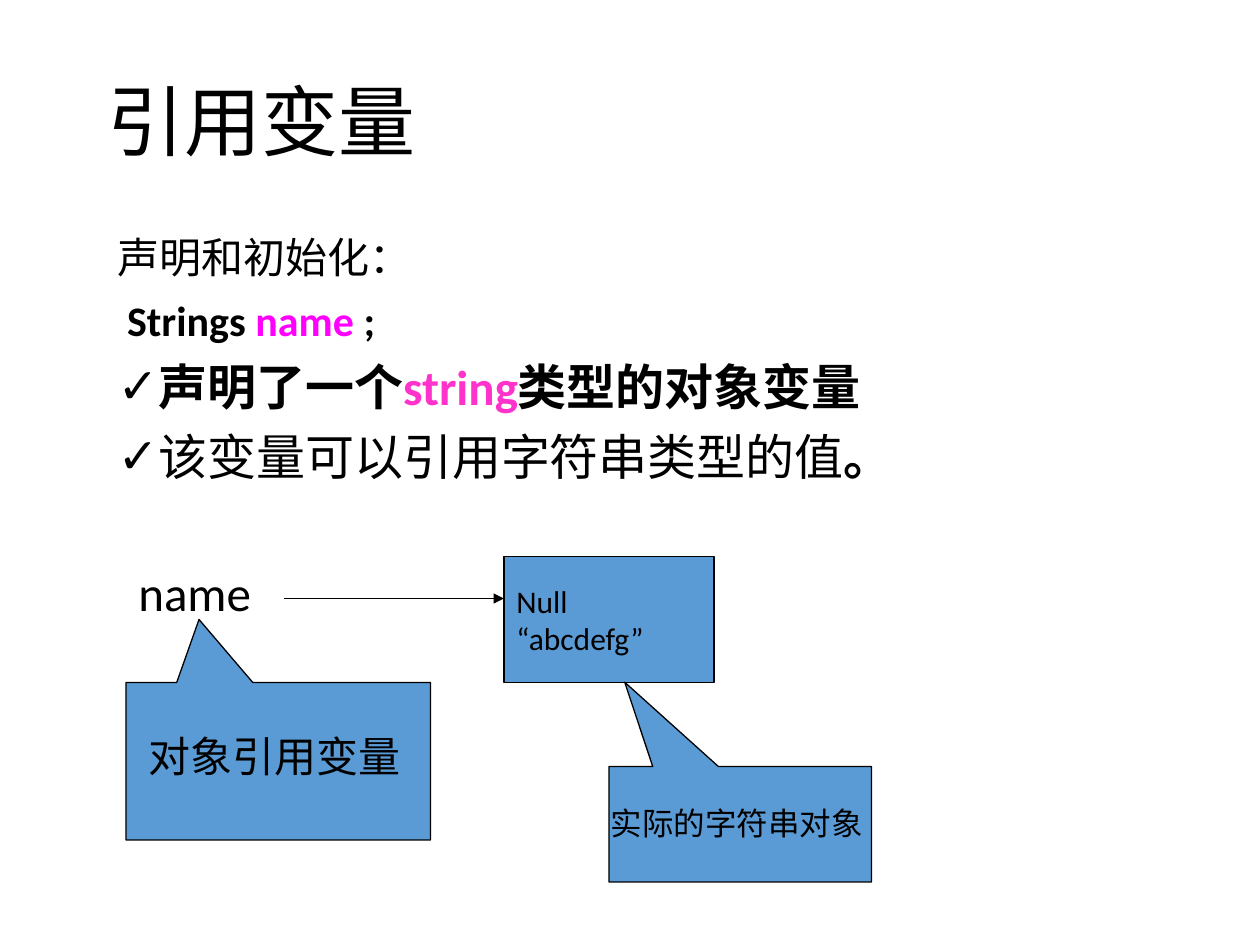
from lxml.etree import SubElement
from pptx import Presentation
from pptx.dml.color import RGBColor
from pptx.enum.shapes import MSO_CONNECTOR, MSO_SHAPE
from pptx.enum.text import MSO_ANCHOR, MSO_AUTO_SIZE, PP_ALIGN
from pptx.oxml.ns import qn
from pptx.util import Inches, Pt

THEME = {
    "font": "Calibri",
    "text": RGBColor(0, 0, 0),
    "fill": RGBColor(0x5B, 0x9B, 0xD5),
    "magenta": RGBColor(0xFF, 0x00, 0xFF),
    "pink": RGBColor(0xFF, 0x33, 0xCC),
    "title": 44, "large": 28, "medium": 24, "small": 18,
    "line": Pt(0.75),
}
COLUMNS, ROWS = 120, 90

presentation = Presentation()
presentation.slide_width, presentation.slide_height = Inches(10), Inches(7.5)
cell_width = presentation.slide_width / COLUMNS
cell_height = presentation.slide_height / ROWS
slide = presentation.slides.add_slide(presentation.slide_layouts[1])


def area(column, row, columns, rows):
    """Turn grid cells into left, top, width and height."""
    return (round(column * cell_width), round(row * cell_height),
            round(columns * cell_width), round(rows * cell_height))


def write(paragraph, text, size, color="text", bold=False):
    run = paragraph.add_run()
    run.text = text
    font_format = {"name": THEME["font"], "size": Pt(THEME[size]), "bold": bold}
    for name, value in font_format.items():
        setattr(run.font, name, value)
    run.font.color.rgb = THEME[color]


# Title and body placeholders
title, body = slide.shapes.title, slide.placeholders[1]
for placeholder, place, anchor in (
    (title, area(9, 8, 96, 8), MSO_ANCHOR.MIDDLE),
    (body, area(10, 22, 98, 57.4), MSO_ANCHOR.TOP),
):
    placeholder.left, placeholder.top, placeholder.width, placeholder.height = place
    frame_format = {"vertical_anchor": anchor, "word_wrap": True,
                    "auto_size": MSO_AUTO_SIZE.NONE}
    for name, value in frame_format.items():
        setattr(placeholder.text_frame, name, value)

heading = title.text_frame.paragraphs[0]
heading.alignment, heading.line_spacing = PP_ALIGN.LEFT, 0.9
write(heading, "引用变量", "title")

body_lines = [
    (None, [("声明和初始化：", "medium")]),
    (None, [(" Strings ", "medium", "text", True),
            ("name ", "medium", "magenta", True),
            ("; ", "medium", "text", True)]),
    ("✓", [("声明了一个", "large", "text", True),
           ("string", "large", "pink", True),
           ("类型的对象变量", "large", "text", True)]),
    ("✓", [("该变量可以引用字符串类型的值", "large"),
           ("。", "large", "text", True)]),
]
for index, (bullet, runs) in enumerate(body_lines):
    frame = body.text_frame
    paragraph = frame.add_paragraph() if index else frame.paragraphs[0]
    paragraph_format = {"line_spacing": 0.9, "space_before": Pt(10),
                        "alignment": PP_ALIGN.LEFT}
    for name, value in paragraph_format.items():
        setattr(paragraph, name, value)
    properties = paragraph._p.get_or_add_pPr()
    properties.set("marL", str(Inches(0.25)))
    properties.set("indent", str(-Inches(0.25)))
    if bullet:
        SubElement(properties, qn("a:buChar")).set("char", bullet)
    else:
        SubElement(properties, qn("a:buNone"))
    for run in runs:
        write(paragraph, *run)

# Arrow from the variable to its value
left, top, width, _ = area(27, 57, 21, 0)
arrow = slide.shapes.add_connector(MSO_CONNECTOR.STRAIGHT, left, top, left + width, top)
arrow.line.color.rgb, arrow.line.width = THEME["text"], THEME["line"]
SubElement(arrow.line._get_or_add_ln(), qn("a:tailEnd")).set("type", "triangle")
SubElement(arrow._element.spPr, qn("a:effectLst"))

# Value box and callouts
boxes = [
    (MSO_SHAPE.RECTANGLE, area(48, 53, 20, 12), (), ["Null", "“abcdefg”"]),
    (MSO_SHAPE.RECTANGULAR_CALLOUT, area(12, 65, 29, 15), (-0.26, -0.9), []),
    (MSO_SHAPE.RECTANGULAR_CALLOUT, area(58, 73, 25, 11), (-0.44, -1.23), []),
]
for kind, place, pointer, lines in boxes:
    shape = slide.shapes.add_shape(kind, *place)
    shape.shadow.inherit = False
    shape.fill.solid()
    shape.fill.fore_color.rgb = THEME["fill"]
    shape.line.color.rgb, shape.line.width = THEME["text"], THEME["line"]
    for index, value in enumerate(pointer):
        shape.adjustments[index] = value
    frame = shape.text_frame
    frame.word_wrap, frame.vertical_anchor = False, MSO_ANCHOR.MIDDLE
    for index, line in enumerate(lines):
        paragraph = frame.add_paragraph() if index else frame.paragraphs[0]
        paragraph.alignment = PP_ALIGN.LEFT
        write(paragraph, line, "small")

# Labels
for text, size, place in (
    ("name", "large", area(12, 53, 23, 6.8)),
    ("对象引用变量", "medium", area(13, 69, 29, 6)),
    ("实际的字符串对象", "small", area(57, 76, 29, 4.8)),
):
    label = slide.shapes.add_textbox(*place)
    label.text_frame.word_wrap = True
    write(label.text_frame.paragraphs[0], text, size)

presentation.save("out.pptx")
